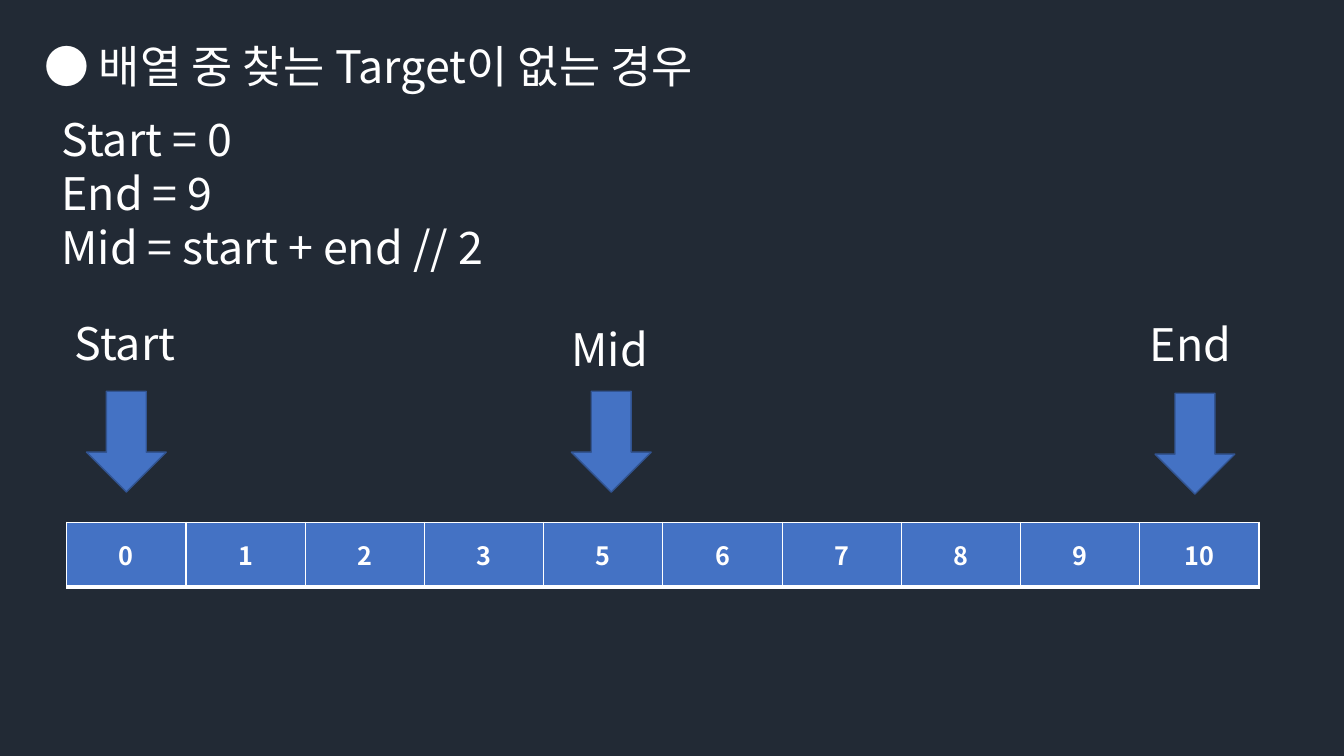
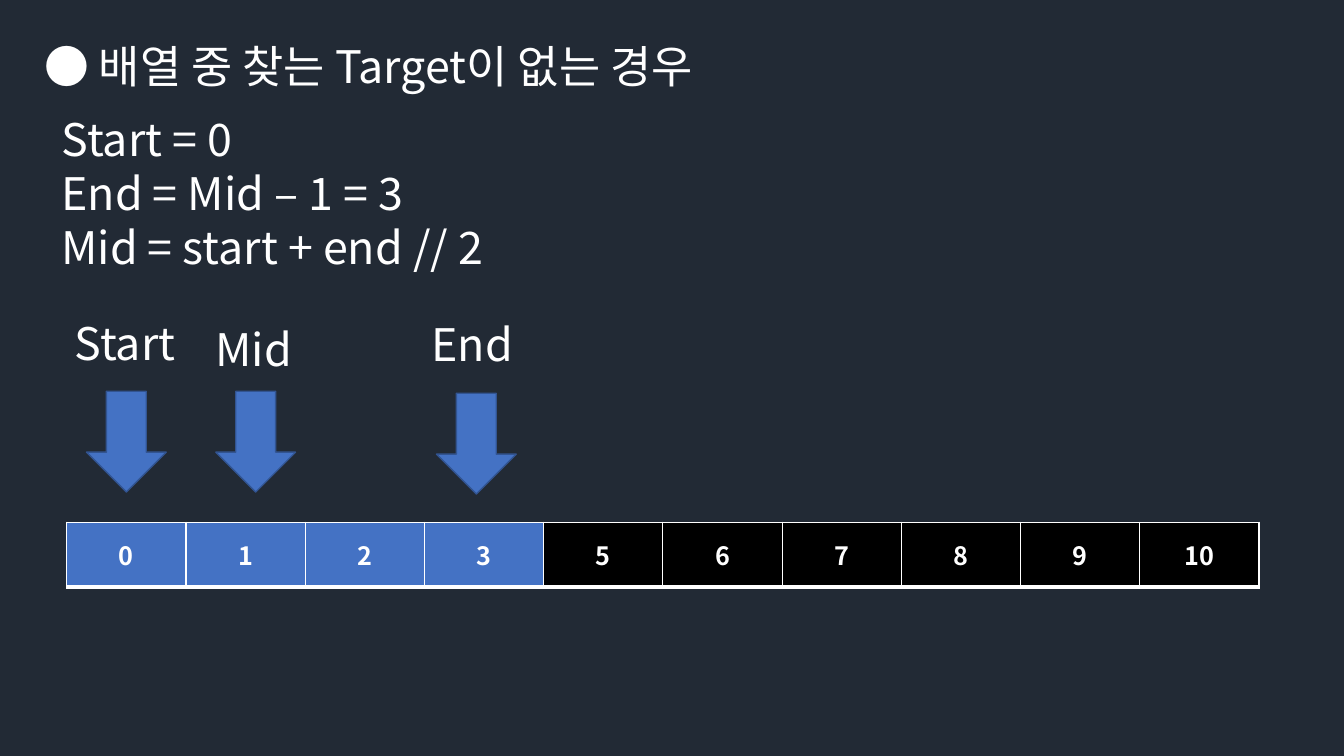
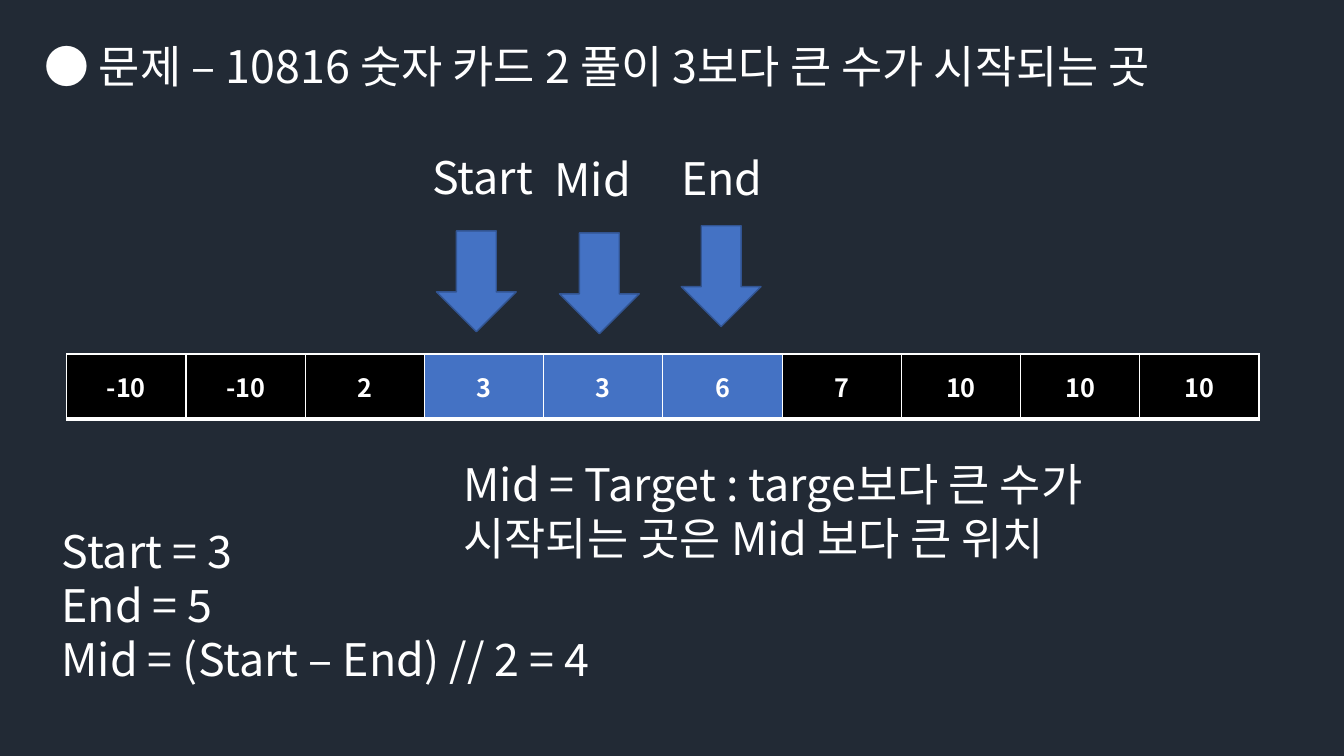
from lxml.etree import SubElement
from pptx import Presentation
from pptx.dml.color import RGBColor
from pptx.enum.shapes import MSO_SHAPE
from pptx.enum.text import MSO_ANCHOR, MSO_AUTO_SIZE, PP_ALIGN
from pptx.oxml.ns import qn
from pptx.util import Cm, Pt

FONT = "Noto Sans CJK KR"
BACKGROUND = "222A35"
WHITE = "FFFFFF"
ACTIVE = "4472C4"
EXCLUDED = "000000"
ARROW_LINE = "325491"
BORDERS = {"a:lnL": 1, "a:lnR": 1, "a:lnT": 1, "a:lnB": 3}
LINE_HEIGHT = 1.63


def color(value):
    """Turn a hex string into a colour."""
    return RGBColor.from_string(value)


def write(frame, text, size=32, bold=False, align=PP_ALIGN.LEFT):
    """Fill a text frame, one paragraph for each line of the text."""
    for index, line in enumerate(text.split("\n")):
        paragraph = frame.paragraphs[0] if index == 0 else frame.add_paragraph()
        paragraph.alignment = align
        run = paragraph.add_run()
        run.text = line
        run.font.name = FONT
        run.font.size = Pt(size)
        run.font.bold = bold
        run.font.color.rgb = color(WHITE)
        SubElement(run.font._element, qn("a:ea"), typeface=FONT)


def add_borders(cell):
    """Draw the white borders of a table cell, ahead of its fill."""
    properties = cell._tc.get_or_add_tcPr()
    for position, (tag, width) in enumerate(BORDERS.items()):
        line = SubElement(properties, qn(tag), w=str(Pt(width)))
        fill = SubElement(line, qn("a:solidFill"))
        SubElement(fill, qn("a:srgbClr"), val=WHITE)
        properties.insert(position, line)


class Deck:
    """The presentation, its style and the current slide."""

    def __init__(self):
        """Start an empty wide presentation."""
        self.presentation = Presentation()
        self.presentation.slide_width = Cm(33.87)
        self.presentation.slide_height = Cm(19.05)
        self.slide = None

    def new_slide(self, title, title_width):
        """Add a dark slide with its title."""
        layout = self.presentation.slide_layouts[6]
        self.slide = self.presentation.slides.add_slide(layout)
        fill = self.slide.background.fill
        fill.solid()
        fill.fore_color.rgb = color(BACKGROUND)
        self.text("● " + title, 0.86, 0.86, title_width)

    def text(self, text, left, top, width, height=LINE_HEIGHT):
        """Add a wrapping text box."""
        box = self.slide.shapes.add_textbox(Cm(left), Cm(top), Cm(width), Cm(height))
        frame = box.text_frame
        frame.word_wrap = True
        frame.auto_size = MSO_AUTO_SIZE.SHAPE_TO_FIT_TEXT
        write(frame, text)

    def variables(self, text, top, width):
        """Add the three lines that give the search variables."""
        self.text(text, 1.3, top, width, 4.37)

    def arrow(self, left, top):
        """Add an arrow that points down at the array."""
        shape = self.slide.shapes.add_shape(
            MSO_SHAPE.DOWN_ARROW, Cm(left), Cm(top), Cm(2.01), Cm(2.54))
        shape.shadow.inherit = False
        shape.fill.solid()
        shape.fill.fore_color.rgb = color(ACTIVE)
        shape.line.color.rgb = color(ARROW_LINE)
        shape.line.width = Pt(1)

    def pointer(self, name, label_position, arrow_position):
        """Add a named arrow."""
        self.text(name, *label_position, 3.15)
        self.arrow(*arrow_position)

    def array(self, values, active, top):
        """Add the array as a one-row table; cells outside active are black."""
        width = Cm(30.05)
        table = self.slide.shapes.add_table(
            1, len(values), Cm(1.68), Cm(top), width, Cm(LINE_HEIGHT)).table
        table.first_row = False
        table.horz_banding = False
        for index, value in enumerate(values):
            table.columns[index].width = width // len(values)
            cell = table.cell(0, index)
            cell.vertical_anchor = MSO_ANCHOR.MIDDLE
            cell.fill.solid()
            cell.fill.fore_color.rgb = color(ACTIVE if index in active else EXCLUDED)
            add_borders(cell)
            write(cell.text_frame, str(value), size=18, bold=True, align=PP_ALIGN.CENTER)


def add_missing_target_step(deck, end_value, active, mid_lefts, end_lefts):
    """Add one step of the search for a target that is not in the array."""
    deck.new_slide("배열 중 찾는 Target이 없는 경우", 18.52)
    deck.array([0, 1, 2, 3, 5, 6, 7, 8, 9, 10], active, 13.16)
    deck.variables(f"Start = 0\nEnd = {end_value}\nMid = start + end // 2", 2.69, 13.18)
    mid_label, mid_arrow = mid_lefts
    end_label, end_arrow = end_lefts
    deck.pointer("Start", (1.63, 7.82), (2.18, 9.86))
    deck.pointer("Mid", (mid_label, 7.98), (mid_arrow, 9.86))
    deck.pointer("End", (end_label, 7.85), (end_arrow, 9.91))


def add_upper_bound(deck):
    """Add the search for the first value above the target."""
    deck.new_slide("문제 – 10816 숫자 카드 2 풀이 3보다 큰 수가 시작되는 곳", 31.19)
    deck.array([-10, -10, 2, 3, 3, 6, 7, 10, 10, 10], range(3, 6), 8.92)
    deck.variables("Start = 3\nEnd = 5\nMid = (Start – End) // 2 = 4", 13.08, 23.42)
    deck.pointer("Start", (10.64, 3.66), (11, 5.82))
    deck.pointer("Mid", (13.72, 3.71), (14.1, 5.87))
    deck.pointer("End", (16.92, 3.68), (17.17, 5.69))
    deck.text("Mid = Target : targe보다 큰 수가 시작되는 곳은 Mid 보다 큰 위치",
              11.43, 11.38, 18.75, 3)


def main():
    """Build the three slides and save them."""
    deck = Deck()
    add_missing_target_step(deck, "9", range(10), (14.15, 14.4), (28.73, 29.11))
    add_missing_target_step(deck, "Mid – 1 = 3", range(4), (5.18, 5.44), (10.62, 11))
    add_upper_bound(deck)
    deck.presentation.save("out.pptx")


main()
